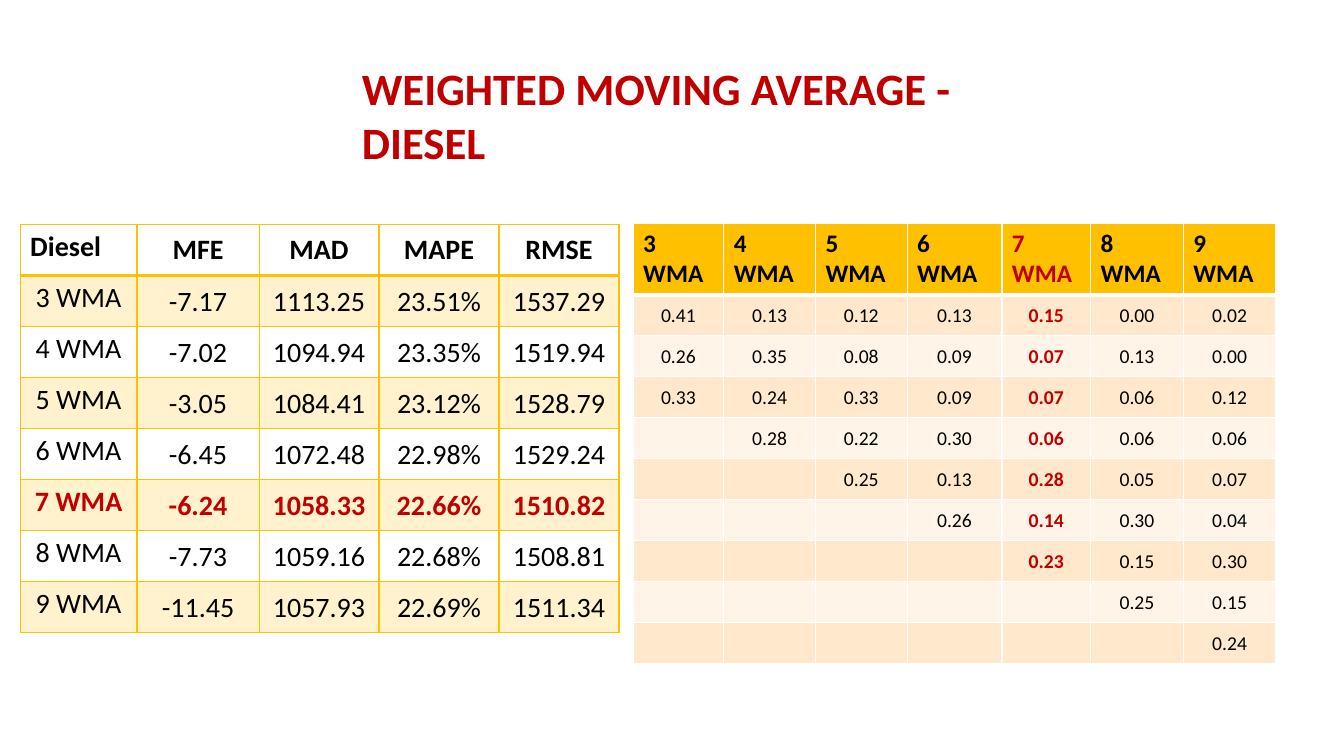
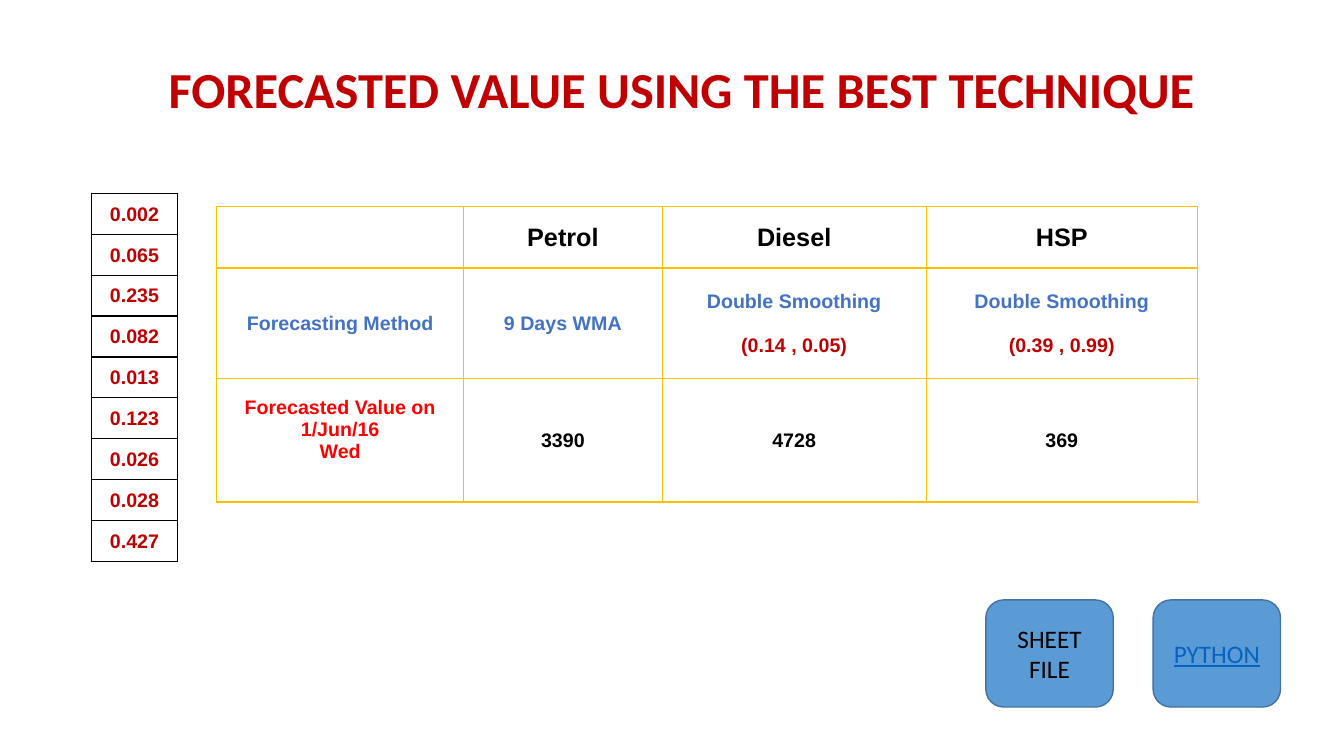
from dataclasses import dataclass, replace

from lxml.etree import SubElement
from pptx import Presentation
from pptx.dml.color import RGBColor
from pptx.enum.shapes import MSO_SHAPE as Preset
from pptx.enum.text import MSO_ANCHOR as Anchor, MSO_AUTO_SIZE as AutoSize, PP_ALIGN as Align
from pptx.oxml.ns import qn
from pptx.util import Pt

# Shared colours and insets
BLACK, WHITE, CRIMSON, RED = "000000", "FFFFFF", "C00000", "FF0000"
GOLD, PALE_GOLD, PEACH, PALE_PEACH = "FFC000", "FFF2CC", "FFE8CC", "FFF4E7"
METHOD_BLUE, BUTTON_BLUE, BUTTON_EDGE, LINK_BLUE = "4472C4", "5B9BD5", "43739E", "0563C1"
TIGHT = (0.72, 0.72, 0.72, 0)
ROOMY = (7.2, 3.6, 7.2, 3.6)
ROW = 29.5
TITLE_ONLY = 5


@dataclass(frozen=True)
class Line:
    text: str
    size: float
    color: str = BLACK
    bold: bool = False
    font: str = "Calibri"
    underline: bool = False
    align: Align = Align.CENTER
    space_before: float = 0
    spacing: float = 1.0


@dataclass(frozen=True)
class Cell:
    lines: tuple[Line, ...] = ()
    fill: str | None = None
    insets: tuple[float, float, float, float] = TIGHT
    anchor: Anchor = Anchor.MIDDLE


@dataclass(frozen=True)
class Grid:
    left: float
    top: float
    widths: list[float]
    heights: list[float]
    border: str
    header_rule: float = 1


@dataclass(frozen=True)
class Button:
    label: Line
    left: float


def rgb(color: str) -> RGBColor:
    return RGBColor.from_string(color)


def write(frame, lines: tuple[Line, ...]) -> None:
    for index, line in enumerate(lines):
        paragraph = frame.add_paragraph() if index else frame.paragraphs[0]
        paragraph.text = line.text
        paragraph.alignment = line.align
        paragraph.line_spacing = line.spacing
        paragraph.space_before = Pt(line.space_before)
        font = paragraph.font
        font.name, font.size, font.bold = line.font, Pt(line.size), line.bold
        font.underline = line.underline
        font.color.rgb = rgb(line.color)


def add_title(slide, line: Line, box: tuple[float, ...], anchor: Anchor) -> None:
    title = slide.shapes.title
    title.left, title.top, title.width, title.height = map(Pt, box)
    frame = title.text_frame
    frame.word_wrap, frame.auto_size = True, AutoSize.NONE
    frame.vertical_anchor = anchor
    write(frame, (line,))


def set_borders(cell, color: str, top: float, bottom: float) -> None:
    properties = cell._tc.get_or_add_tcPr()
    sides = {"a:lnL": 1, "a:lnR": 1, "a:lnT": top, "a:lnB": bottom}
    for position, (tag, width) in enumerate(sides.items()):
        edge = SubElement(properties, qn(tag), w=str(Pt(width)))
        SubElement(SubElement(edge, qn("a:solidFill")), qn("a:srgbClr"), val=color)
        properties.insert(position, edge)


def add_grid(slide, grid: Grid, rows: list[list[Cell]]) -> None:
    table = slide.shapes.add_table(
        len(rows), len(grid.widths), Pt(grid.left), Pt(grid.top),
        Pt(sum(grid.widths)), Pt(sum(grid.heights))).table
    table.first_row = table.horz_banding = False
    for column, width in zip(table.columns, grid.widths):
        column.width = Pt(width)
    for r, (cells, height) in enumerate(zip(rows, grid.heights)):
        table.rows[r].height = Pt(height)
        for c, content in enumerate(cells):
            cell = table.cell(r, c)
            (cell.margin_left, cell.margin_top,
             cell.margin_right, cell.margin_bottom) = map(Pt, content.insets)
            cell.vertical_anchor = content.anchor
            if content.fill:
                cell.fill.solid()
                cell.fill.fore_color.rgb = rgb(content.fill)
            else:
                cell.fill.background()
            set_borders(cell, grid.border,
                        top=grid.header_rule if r == 1 else 1,
                        bottom=grid.header_rule if r == 0 else 1)
            write(cell.text_frame, content.lines)


def add_button(slide, button: Button) -> None:
    shape = slide.shapes.add_shape(
        Preset.ROUNDED_RECTANGLE, Pt(button.left), Pt(428.5), Pt(91), Pt(76.5))
    shape.shadow.inherit = False
    shape.fill.solid()
    shape.fill.fore_color.rgb = rgb(BUTTON_BLUE)
    shape.line.color.rgb = rgb(BUTTON_EDGE)
    shape.line.width = Pt(1)
    shape.text_frame.word_wrap = True
    shape.text_frame.vertical_anchor = Anchor.MIDDLE
    write(shape.text_frame, (button.label,))


# Slide 1: error measures and weights of each moving average
BEST_SPAN = 7
SPANS = range(3, 10)
ERRORS = {
    3: ("-7.17", "1113.25", "23.51%", "1537.29"),
    4: ("-7.02", "1094.94", "23.35%", "1519.94"),
    5: ("-3.05", "1084.41", "23.12%", "1528.79"),
    6: ("-6.45", "1072.48", "22.98%", "1529.24"),
    7: ("-6.24", "1058.33", "22.66%", "1510.82"),
    8: ("-7.73", "1059.16", "22.68%", "1508.81"),
    9: ("-11.45", "1057.93", "22.69%", "1511.34"),
}
WEIGHTS = {
    3: ("0.41", "0.26", "0.33"),
    4: ("0.13", "0.35", "0.24", "0.28"),
    5: ("0.12", "0.08", "0.33", "0.22", "0.25"),
    6: ("0.13", "0.09", "0.09", "0.30", "0.13", "0.26"),
    7: ("0.15", "0.07", "0.07", "0.06", "0.28", "0.14", "0.23"),
    8: ("0.00", "0.13", "0.06", "0.06", "0.05", "0.30", "0.15", "0.25"),
    9: ("0.02", "0.00", "0.12", "0.06", "0.07", "0.04", "0.30", "0.15", "0.24"),
}


def span_line(text: str, span: int, size: float) -> Line:
    best = span == BEST_SPAN
    return Line(text, size, CRIMSON if best else BLACK, best)


def error_rows() -> list[list[Cell]]:
    corner = Line("Diesel", 20, bold=True, align=Align.LEFT)
    rows = [[Cell((corner,), insets=ROOMY, anchor=Anchor.TOP)]
            + [Cell((Line(measure, 20, bold=True),), insets=(0, 0, 0, 0))
               for measure in ("MFE", "MAD", "MAPE", "RMSE")]]
    for span, errors in ERRORS.items():
        band = PALE_GOLD if span % 2 else None
        name = Cell((span_line(f"{span} WMA", span, 20),), band, ROOMY, Anchor.TOP)
        rows.append([name] + [Cell((span_line(error, span, 20),), band) for error in errors])
    return rows


def weight_rows() -> list[list[Cell]]:
    rows = [[Cell((replace(span_line(f"{span} WMA", span, 18), bold=True, align=Align.LEFT),),
                  GOLD, ROOMY, Anchor.TOP) for span in SPANS]]
    for day in range(max(SPANS)):
        band = PALE_PEACH if day % 2 else PEACH
        rows.append([Cell((span_line(WEIGHTS[span][day], span, 14),) if day < span else (), band)
                     for span in SPANS])
    return rows


def build_diesel(slide) -> None:
    add_title(slide, Line("WEIGHTED MOVING AVERAGE - DIESEL", 32, CRIMSON, True, align=Align.LEFT),
              (251.3, 39.6, 512, 85), Anchor.TOP)
    add_grid(slide, Grid(14.4, 160.5, [83.5, 87.2, 85.7, 85.7, 85.7], [36.45] * 8, GOLD, 2),
             error_rows())
    add_grid(slide, Grid(452.2, 159.3, [64.8, 65.5, 65.5, 67.7, 63.4, 66.2, 66.2],
                         [50] + [29.3] * 9, WHITE, 3), weight_rows())


# Slide 2: forecast of each fuel
BEST_WEIGHTS = ("0.002", "0.065", "0.235", "0.082", "0.013", "0.123", "0.026", "0.028", "0.427")


def arial(text: str, color: str = BLACK, size: float = 14, space_before: float = 0) -> Line:
    return Line(text, size, color, True, "Arial", space_before=space_before)


def smoothing(constants: str) -> Cell:
    return Cell((arial("Double Smoothing", METHOD_BLUE),
                 arial(constants, CRIMSON, space_before=15.5)))


def forecast_rows() -> list[list[Cell]]:
    fuels = [Cell((arial(fuel, size=18),), insets=(0, 0, 0, 0))
             for fuel in ("Petrol", "Diesel", "HSP")]
    methods = [Cell((arial(text, METHOD_BLUE),)) for text in ("Forecasting Method", "9 Days WMA")]
    date = Cell(tuple(arial(text, RED) for text in ("Forecasted Value on", "1/Jun/16", "Wed")),
                insets=(0.72, 0.72, 0.72, 16))
    values = [Cell((arial(value),)) for value in ("3390", "4728", "369")]
    return [[Cell()] + fuels,
            methods + [smoothing("(0.14 , 0.05)"), smoothing("(0.39 , 0.99)")],
            [date] + values]


def build_forecast(slide) -> None:
    add_title(slide, Line("FORECASTED VALUE USING THE BEST TECHNIQUE", 36, CRIMSON, True,
                          spacing=0.9), (48.2, 35.3, 877.7, 61.2), Anchor.MIDDLE)
    add_grid(slide, Grid(154.8, 147.6, [176.4, 141.8, 188.6, 193.7], [44, 79, 88], GOLD, 2),
             forecast_rows())
    add_grid(slide, Grid(65.5, 138.2, [61.2], [29.2] * 9, BLACK),
             [[Cell((arial(weight, CRIMSON),))] for weight in BEST_WEIGHTS])
    for button in (Button(Line("PYTHON", 18, LINK_BLUE, underline=True), 823.7),
                   Button(Line("SHEET FILE", 18), 704.2)):
        add_button(slide, button)


def main() -> None:
    deck = Presentation()
    deck.slide_width, deck.slide_height = Pt(960), Pt(540)
    for build in (build_diesel, build_forecast):
        build(deck.slides.add_slide(deck.slide_layouts[TITLE_ONLY]))
    deck.save("out.pptx")


if __name__ == "__main__":
    main()
